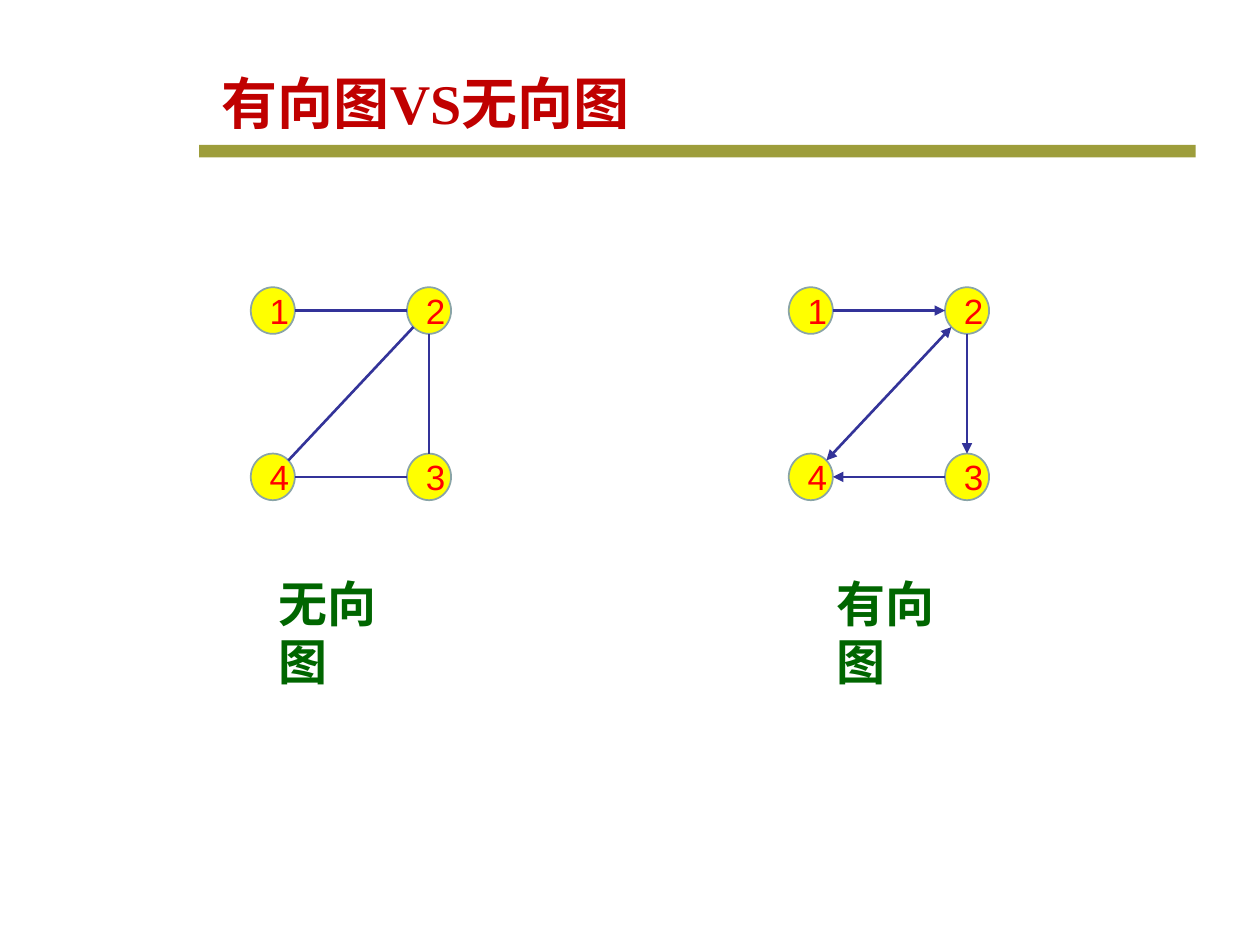
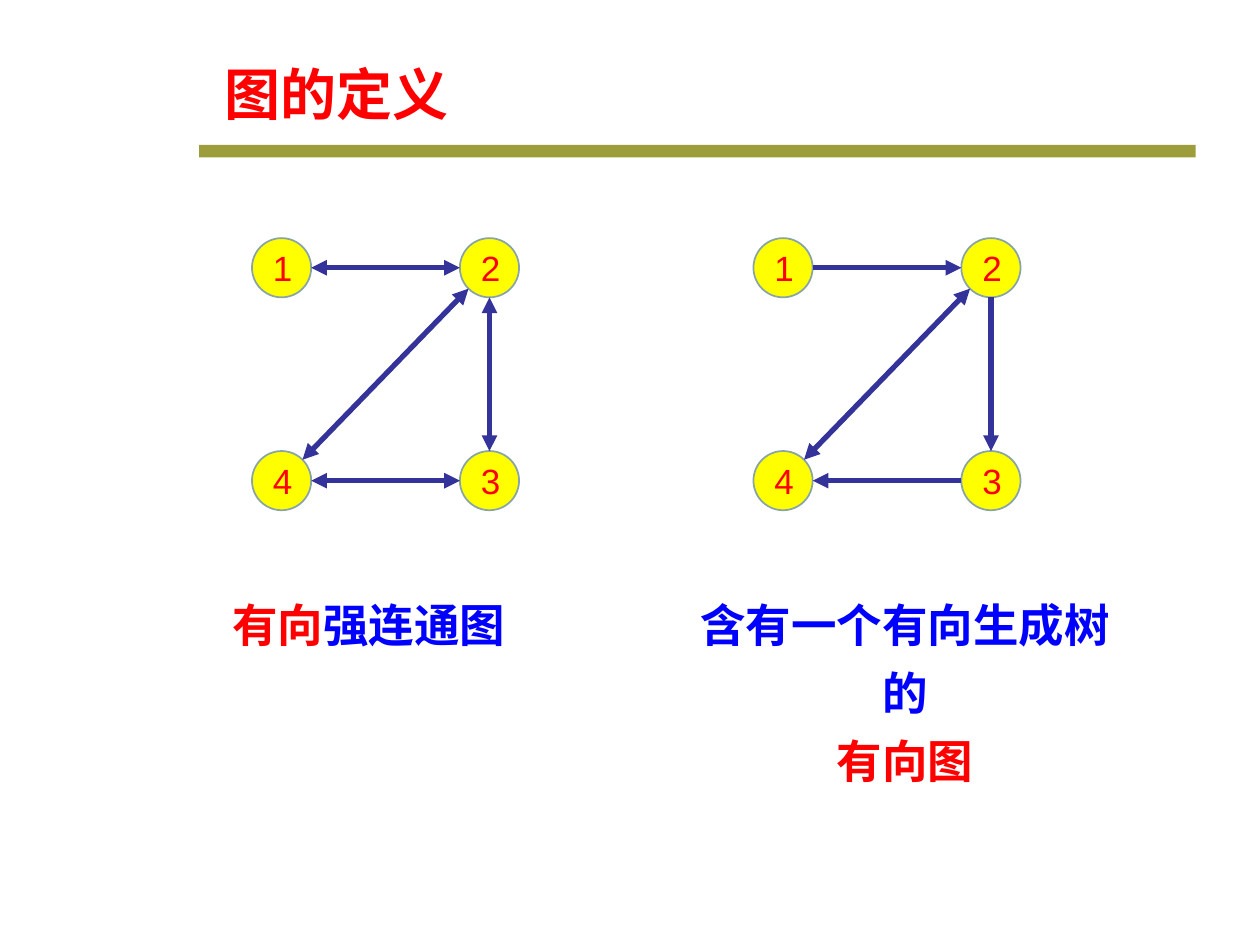
import math
from dataclasses import dataclass

import pptx
import pptx.dml.color
import pptx.enum.shapes
import pptx.enum.text
import pptx.oxml.ns
import pptx.util
from lxml import etree

Inches = pptx.util.Inches
Align = pptx.enum.text.PP_ALIGN


@dataclass(frozen=True)
class Theme:
    band: str = "808000"
    band_alpha: int = 77
    node: str = "FFFF00"
    node_line: str = "89A4A7"
    edge: str = "333399"
    red: str = "FF0000"
    dark_red: str = "C00000"
    green: str = "006600"
    blue: str = "0000FF"
    title_size: int = 32
    label_size: int = 28
    caption_size: int = 26
    node_size: int = 20
    sans: str = "Arial"
    label_font: str = "DejaVu Sans"
    serif: str = "Times New Roman"


THEME = Theme()
BAND = (1.58, 1.15, 7.91, 0.1)

# Nodes by (column, row); edges by (start, end, arrows)
NODES = {1: (0, 0), 2: (1, 0), 3: (1, 1), 4: (0, 1)}
UNDIRECTED = [(1, 2, ""), (2, 3, ""), (3, 4, ""), (4, 2, "")]
DIRECTED = [(1, 2, "end"), (2, 3, "end"), (3, 4, "end"), (4, 2, "both")]
BIDIRECTED = [(start, end, "both") for start, end, _ in DIRECTED]
ARROW_TAGS = {"": [], "end": ["a:tailEnd"], "both": ["a:headEnd", "a:tailEnd"]}

# Shared geometry of the graphs on one slide
SMALL = {"top": 2.28, "node": (0.35, 0.37), "pitch": (1.24, 1.32), "weight": 1.5}
LARGE = {"top": 1.89, "node": (0.47, 0.47), "pitch": (1.65, 1.69), "weight": 3}

TITLE = {"size": THEME.title_size, "font": THEME.sans}
LABEL = {"size": THEME.label_size, "font": THEME.label_font}
CAPTION = {"size": THEME.caption_size, "font": THEME.sans, "spacing": 1.25}

# Each text: place, paragraphs of (words, colour) spans, style
SLIDES = [
    {
        "geometry": SMALL,
        "graphs": [(1.99, UNDIRECTED), (6.26, DIRECTED)],
        "texts": [
            ((1.66, 0.23, 3.65, 0.9), [[("有向图VS无向图", THEME.dark_red)]],
             {**TITLE, "font": THEME.serif, "spacing": 1.5}),
            ((2.11, 4.5, 1.36, 0.57), [[("无向图", THEME.green)]], LABEL),
            ((6.54, 4.5, 1.36, 0.57), [[("有向图", THEME.green)]], LABEL),
        ],
    },
    {
        "geometry": LARGE,
        "graphs": [(2, BIDIRECTED), (5.98, DIRECTED)],
        "texts": [
            ((1.68, 0.42, 1.98, 0.64), [[("图的定义", THEME.red)]], TITLE),
            ((1.74, 4.58, 2.37, 0.64),
             [[("有向", THEME.red), ("强连通图", THEME.blue)]],
             {**CAPTION, "align": Align.RIGHT}),
            ((5.28, 4.58, 3.81, 1.19),
             [[("含有一个有向生成树的", THEME.blue)], [("有向图", THEME.red)]],
             {**CAPTION, "align": Align.CENTER}),
        ],
    },
]


def rgb(colour):
    return pptx.dml.color.RGBColor.from_string(colour)


def set_all(target, values):
    for name, value in values.items():
        setattr(target, name, value)


def add_span(para, words, colour, size, font, bold):
    span = para.add_run()
    span.text = words
    set_all(span.font, {"size": pptx.util.Pt(size), "name": font, "bold": bold})
    span.font.color.rgb = rgb(colour)


def add_filled(page, kind, place, fill):
    shape = page.shapes.add_shape(kind, *map(Inches, place))
    shape.shadow.inherit = False
    shape.fill.solid()
    shape.fill.fore_color.rgb = rgb(fill)
    return shape


def add_band(page):
    band = add_filled(page, pptx.enum.shapes.MSO_SHAPE.RECTANGLE, BAND, THEME.band)
    band.line.fill.background()
    colour = next(band._element.spPr.iter(pptx.oxml.ns.qn("a:srgbClr")))
    etree.SubElement(colour, pptx.oxml.ns.qn("a:alpha"),
                     val=str(THEME.band_alpha * 1000))


def add_text(page, place, paragraphs, style):
    box = page.shapes.add_textbox(*map(Inches, place))
    frame = box.text_frame
    set_all(frame, {"word_wrap": False,
                    "auto_size": pptx.enum.text.MSO_AUTO_SIZE.SHAPE_TO_FIT_TEXT})
    for index, spans in enumerate(paragraphs):
        para = frame.add_paragraph() if index else frame.paragraphs[0]
        set_all(para, {"alignment": style.get("align", Align.LEFT),
                       "line_spacing": style.get("spacing", 1.0)})
        for words, colour in spans:
            add_span(para, words, colour, style["size"], style["font"], True)


def add_node(page, number, place):
    node = add_filled(page, pptx.enum.shapes.MSO_SHAPE.OVAL, place, THEME.node)
    node.line.color.rgb = rgb(THEME.node_line)
    node.line.width = pptx.util.Pt(1)
    set_all(node.text_frame, {
        "word_wrap": True,
        "vertical_anchor": pptx.enum.text.MSO_ANCHOR.MIDDLE,
    })
    para = node.text_frame.paragraphs[0]
    para.alignment = Align.CENTER
    add_span(para, str(number), THEME.red, THEME.node_size, THEME.sans, False)


def rim_point(place, direction):
    """Point on a node's rim facing one of the eight directions."""
    left, top, width, height = place
    reach = 0.5 / math.hypot(*direction)
    return (left + width * (0.5 + reach * direction[0]),
            top + height * (0.5 + reach * direction[1]))


def add_edge(page, begin, end, arrows, weight):
    edge = page.shapes.add_connector(pptx.enum.shapes.MSO_CONNECTOR.STRAIGHT,
                                     *map(Inches, begin + end))
    edge.line.color.rgb = rgb(THEME.edge)
    edge.line.width = pptx.util.Pt(weight)
    for tag in ARROW_TAGS[arrows]:
        etree.SubElement(edge.line._get_or_add_ln(), pptx.oxml.ns.qn(tag),
                         type="triangle")
    etree.SubElement(edge._element.spPr, pptx.oxml.ns.qn("a:effectLst"))


def add_graph(page, left, edges, geometry):
    pitch_x, pitch_y = geometry["pitch"]
    places = {
        number: (left + column * pitch_x, geometry["top"] + row * pitch_y,
                 *geometry["node"])
        for number, (column, row) in NODES.items()
    }
    for number, place in places.items():
        add_node(page, number, place)
    for start, end, arrows in edges:
        direction = [b - a for a, b in zip(NODES[start], NODES[end])]
        add_edge(page, rim_point(places[start], direction),
                 rim_point(places[end], [-step for step in direction]),
                 arrows, geometry["weight"])


def main():
    deck = pptx.Presentation()
    deck.slide_width, deck.slide_height = Inches(10), Inches(7.5)
    for content in SLIDES:
        page = deck.slides.add_slide(deck.slide_layouts[6])
        add_band(page)
        for text in content["texts"]:
            add_text(page, *text)
        for left, edges in content["graphs"]:
            add_graph(page, left, edges, content["geometry"])
    deck.save("out.pptx")


if __name__ == "__main__":
    main()
